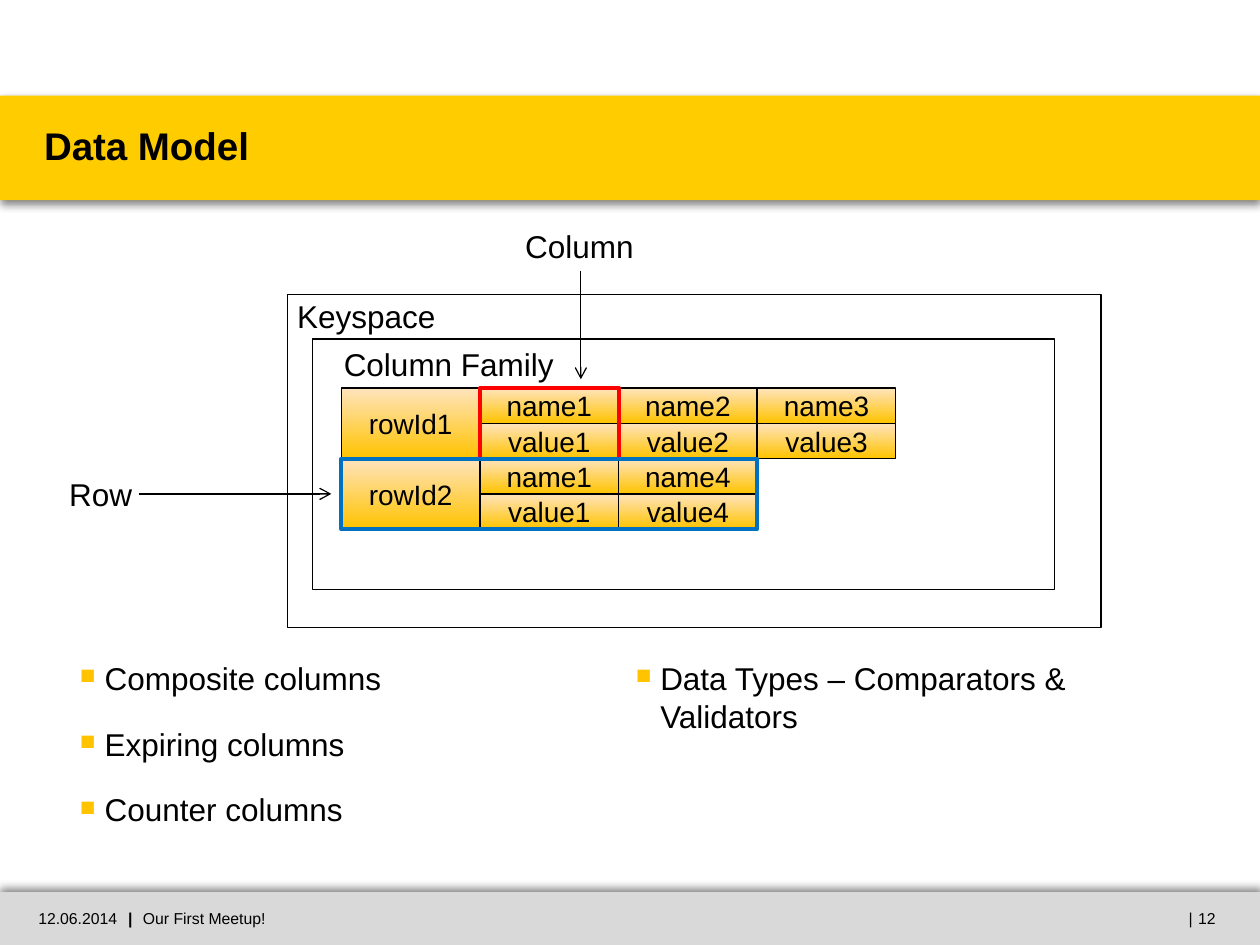
import collections

import lxml.etree
import pptx
import pptx.dml.color
import pptx.enum.shapes
import pptx.enum.text
import pptx.oxml
import pptx.oxml.ns
import pptx.util

COLORS = {"black": "000000", "yellow": "FFCC00", "gray": "D9D9D9", "amber": "FFC300",
          "cream": "FFE4BD", "red": "FF0000", "blue": "0070C0"}
FONT = "Arial"
ALIGN = pptx.enum.text.PP_ALIGN
ANCHOR = pptx.enum.text.MSO_ANCHOR
# The slide is a grid of 1000 columns and 750 rows of square units.
COLUMNS, ROWS = 1000, 750
UNIT = pptx.util.Inches(10) // COLUMNS
CELL_WIDTH, CELL_HEIGHT = 110, 28
RECORDS = [
    ("rowId1", [("name1", "value1"), ("name2", "value2"), ("name3", "value3")]),
    ("rowId2", [("name1", "value1"), ("name4", "value4")]),
]
TOPICS = ["Composite columns", "Expiring columns", "Counter columns",
          "Data Types – Comparators & Validators"]


class Box(collections.namedtuple("Box", "left top width height")):
    def inside(self, left, top, width, height):
        return Box(self.left + left, self.top + top, width, height)

    def lengths(self):
        return [round(value * UNIT) for value in self]


def color(name):
    return pptx.dml.color.RGBColor.from_string(COLORS[name])


def add_xml(parent, tag, **attributes):
    element = lxml.etree.SubElement(parent, pptx.oxml.ns.qn(tag))
    for name, value in attributes.items():
        element.set(name, str(value))
    return element


def write(shape, lines, size=18, bold=False, align=ALIGN.LEFT, anchor=ANCHOR.TOP,
          insets=(0, 0, 0, 0), wrap=True, line_spacing=None, space_after=None):
    """Fill a shape with one paragraph per line; insets run left, top, right, bottom."""
    frame = shape.text_frame
    frame.word_wrap = wrap
    frame.auto_size = pptx.enum.text.MSO_AUTO_SIZE.NONE
    frame.vertical_anchor = anchor
    (frame.margin_left, frame.margin_top,
     frame.margin_right, frame.margin_bottom) = [inset * UNIT for inset in insets]
    for index, line in enumerate(lines):
        para = frame.paragraphs[0] if index == 0 else frame.add_paragraph()
        para.alignment = align
        if line_spacing:
            para.line_spacing = pptx.util.Pt(line_spacing)
        if space_after is not None:
            para.space_after = pptx.util.Pt(space_after)
        span = para.add_run()
        span.text = line
        span.font.name = FONT
        span.font.size = pptx.util.Pt(size)
        span.font.bold = bold
        span.font.color.rgb = color("black")
    return frame


def add_text(page, box, text, **style):
    shape = page.shapes.add_textbox(*box.lengths())
    return write(shape, [text], **style)


def add_rectangle(page, box, fill=None, line=None, weight=0.75):
    shape = page.shapes.add_shape(pptx.enum.shapes.MSO_SHAPE.RECTANGLE, *box.lengths())
    shape.shadow.inherit = False
    if fill:
        shape.fill.solid()
        shape.fill.fore_color.rgb = color(fill)
    else:
        shape.fill.background()
    if line:
        shape.line.color.rgb = color(line)
        shape.line.width = pptx.util.Pt(weight)
    else:
        shape.line.fill.background()
    return shape


def add_band(page, box, fill, shadow_angle):
    band = add_rectangle(page, box, fill)
    effects = band._element.spPr.find(pptx.oxml.ns.qn("a:effectLst"))
    shadow = add_xml(effects, "a:outerShdw", blurRad=pptx.util.Pt(5), dist=pptx.util.Pt(2),
                     dir=shadow_angle * 60000, algn="ctr", rotWithShape=0)
    shade = add_xml(shadow, "a:srgbClr", val=COLORS["black"])
    add_xml(shade, "a:alpha", val=50000)


def add_cell(page, box, text):
    cell = add_rectangle(page, box, line="black")
    cell.fill.gradient()
    cell.fill.gradient_angle = 90
    for stop, name in zip(cell.fill.gradient_stops, ("amber", "cream")):
        stop.color.rgb = color(name)
    write(cell, [text], size=16, align=ALIGN.CENTER, anchor=ANCHOR.MIDDLE)


def add_arrow(page, start, end):
    ends = [value * UNIT for value in start + end]
    arrow = page.shapes.add_connector(pptx.enum.shapes.MSO_CONNECTOR.STRAIGHT, *ends)
    arrow.line.color.rgb = color("black")
    arrow.line.width = pptx.util.Pt(0.75)
    add_xml(arrow.line._get_or_add_ln(), "a:tailEnd", type="arrow")
    add_xml(arrow._element.spPr, "a:effectLst")


def add_header(page, box):
    add_band(page, box, "yellow", 90)
    title = page.shapes.title
    title.left, title.top, title.width, title.height = box.inside(
        35, 0, 931, box.height).lengths()
    write(title, ["Data Model"], size=22, bold=True, anchor=ANCHOR.MIDDLE,
          insets=(0, 5, 0, 0), line_spacing=20)
    # Bring the title in front of its band.
    page.shapes._spTree.append(title._element)


def add_footer(page, box):
    add_band(page, box, "gray", 270)
    entries = [
        (3, 90, "12.06.2014", ALIGN.RIGHT, False),
        (97, 13, "|", ALIGN.CENTER, True),
        (110, 424, " Our First Meetup!", ALIGN.LEFT, False),
        (938, 14, "|", ALIGN.CENTER, False),
        (951, 49, "12", ALIGN.LEFT, False),
    ]
    for left, width, text, align, bold in entries:
        add_text(page, box.inside(left, 0, width, box.height), text, size=9, bold=bold,
                 align=align, anchor=ANCHOR.MIDDLE)


def add_record(page, box, row_id, pairs):
    """Draw a row key followed by its columns of stacked names and values."""
    add_cell(page, box.inside(0, 0, CELL_WIDTH, box.height), row_id)
    for column, pair in enumerate(pairs, start=1):
        for row, text in enumerate(pair):
            add_cell(page, box.inside(column * CELL_WIDTH, row * CELL_HEIGHT,
                                      CELL_WIDTH, CELL_HEIGHT), text)


def add_data_model(page, box):
    """Draw the nested keyspace, column family and records, with their labels."""
    family = box.inside(20, 35, 589, 199)
    add_rectangle(page, box, line="black")
    add_rectangle(page, family, line="black")

    record_height = 2 * CELL_HEIGHT
    records = [family.inside(23, 39 + index * record_height,
                             CELL_WIDTH * (1 + len(pairs)), record_height)
               for index, (_, pairs) in enumerate(RECORDS)]
    for record, (row_id, pairs) in zip(records, RECORDS):
        add_record(page, record, row_id, pairs)
    marked_column = records[0].inside(CELL_WIDTH, 0, CELL_WIDTH, record_height)
    add_rectangle(page, marked_column, line="red", weight=2.25)
    add_rectangle(page, records[1], line="blue", weight=2.25)

    labels = [
        (box.inside(-2, -3, 131, 40), "Keyspace"),
        (family.inside(15, 0, 188, 40), "Column Family"),
        (box.inside(179, -59, 107, 40), "Column"),
        (box.inside(-183, 138, 71, 40), "Row"),
    ]
    for place, text in labels:
        add_text(page, place, text, insets=(10, 5, 10, 5), wrap=False)

    column_middle = box.left + 233
    add_arrow(page, (column_middle, box.top - 19), (column_middle, marked_column.top - 7))
    row_middle = records[1].top + CELL_HEIGHT
    add_arrow(page, (box.left - 118, row_middle), (records[1].left - 8, row_middle))


def add_topics(page, box):
    shape = page.shapes.add_textbox(*box.lengths())
    frame = write(shape, TOPICS, space_after=16)
    frame._txBody.bodyPr.set("numCol", "2")
    for para in frame.paragraphs:
        properties = para._p.get_or_add_pPr()
        properties.set("marL", str(20 * UNIT))
        properties.set("indent", str(-20 * UNIT))
        bullet_color = add_xml(properties, "a:buClr")
        add_xml(bullet_color, "a:srgbClr", val=COLORS["amber"])
        add_xml(properties, "a:buSzPct", val=110000)
        add_xml(properties, "a:buFont", typeface=FONT)
        add_xml(properties, "a:buChar", char="￭")


def main():
    deck = pptx.Presentation()
    deck.slide_width, deck.slide_height = COLUMNS * UNIT, ROWS * UNIT
    page = deck.slides.add_slide(deck.slide_layouts[5])
    add_header(page, Box(0, 76, COLUMNS, 83))
    add_data_model(page, Box(228, 234, 646, 264))
    add_topics(page, Box(63, 523, 882, 143))
    add_footer(page, Box(0, 708, COLUMNS, 42))
    deck.save("out.pptx")


if __name__ == "__main__":
    main()
